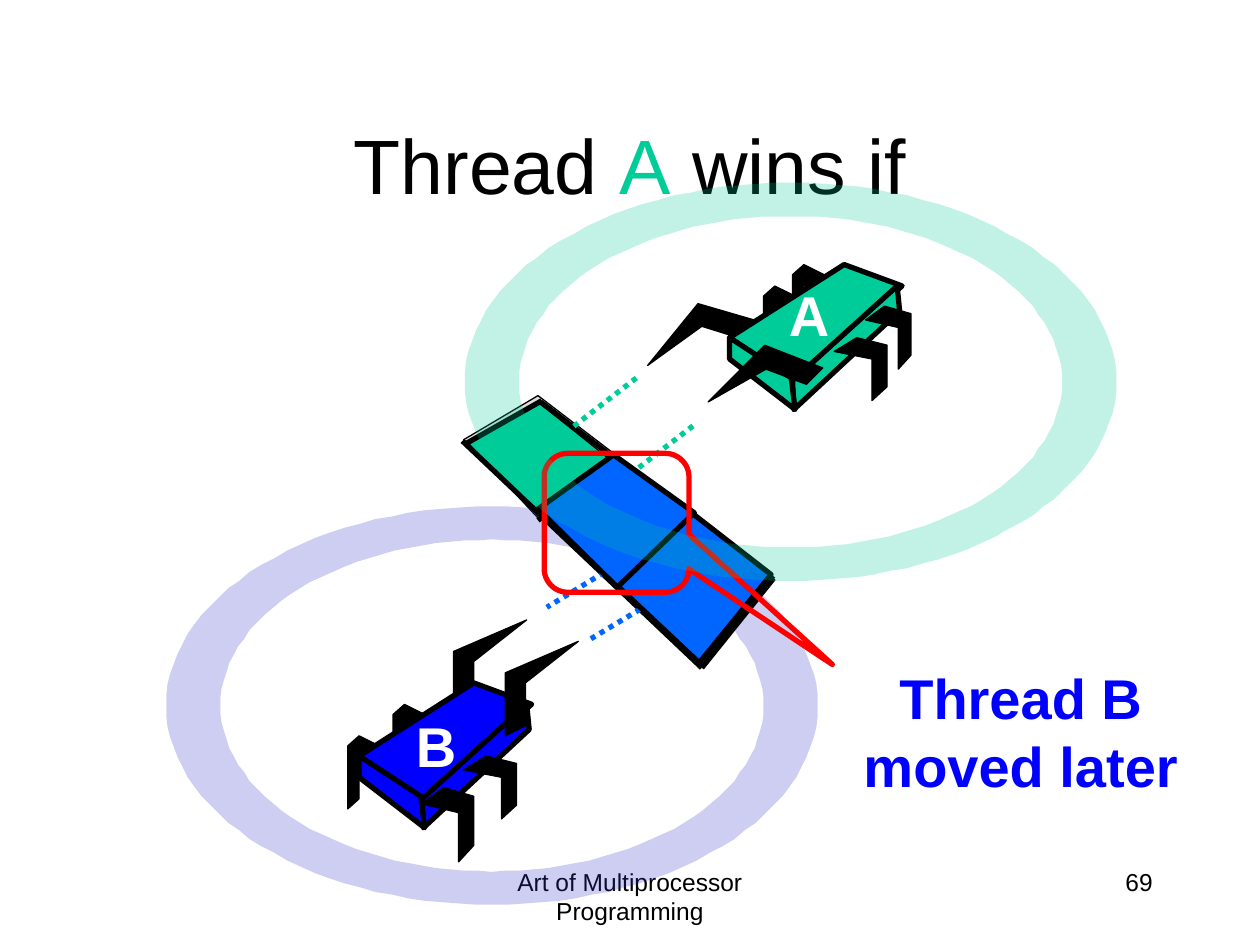
"""Build the slide showing when thread A wins against thread B."""
from math import cos, pi, sin

from lxml.etree import SubElement
from pptx import Presentation
from pptx.dml.color import RGBColor
from pptx.enum.dml import MSO_LINE
from pptx.enum.shapes import MSO_CONNECTOR, MSO_SHAPE
from pptx.enum.text import MSO_ANCHOR, MSO_AUTO_SIZE, PP_ALIGN
from pptx.oxml.ns import qn
from pptx.util import Cm, Pt

rgb = RGBColor.from_string
BLACK, WHITE, GREY, RED = "000000", "FFFFFF", "DDDDDD", "FF0000"
GREEN, BLUE, CELL_BLUE, VIOLET = "00CC99", "0000FF", "0066FF", "3333CC"
unit = Cm(0.0254)

deck = Presentation()
deck.slide_width, deck.slide_height = Cm(25.4), Cm(19.05)
slide = deck.slides.add_slide(deck.slide_layouts[5])
shapes = slide.shapes


def outline(contours, fill, width=0.75, alpha=None, dx=0, dy=0):
    """Draw closed contours, given in hundredths of an inch."""
    moved = [[(x + dx, y + dy) for x, y in contour] for contour in contours]
    builder = shapes.build_freeform(*moved[0][0], scale=unit)
    builder.add_line_segments(moved[0][1:])
    for contour in moved[1:]:
        builder.move_to(*contour[0])
        builder.add_line_segments(contour[1:])
    shape = builder.convert_to_shape()
    shape.shadow.inherit = False
    shape.fill.solid()
    shape.fill.fore_color.rgb = rgb(fill)
    if alpha is None:
        shape.line.color.rgb = rgb(BLACK)
        shape.line.width = Pt(width)
    else:
        shape.line.fill.background()
        color = shape.fill._xPr.find(qn("a:solidFill"))[0]
        SubElement(color, qn("a:alpha")).set("val", str(alpha * 1000))


def write(frame, runs, size, align, bold=False, wrap=True):
    """Fill a text frame with one paragraph of coloured runs."""
    frame.word_wrap = wrap
    frame.auto_size = MSO_AUTO_SIZE.NONE
    paragraph = frame.paragraphs[0]
    paragraph.alignment = align
    for text, color in runs:
        run = paragraph.add_run()
        run.text = text
        run.font.name = "Arial"
        run.font.size = Pt(size)
        run.font.bold = bold
        run.font.color.rgb = rgb(color)


title = shapes.title
title.left, title.top, title.width, title.height = Cm(1.9), Cm(1.7), Cm(21.6), Cm(3.18)
title.text_frame.vertical_anchor = MSO_ANCHOR.MIDDLE
write(title.text_frame, [("Thread ", BLACK), ("A", GREEN), (" wins if", BLACK)],
      44, PP_ALIGN.CENTER)

footer = shapes.add_textbox(Cm(8.68), Cm(17.35), Cm(8.04), Cm(1.27))
write(footer.text_frame, [("Art of Multiprocessor Programming", BLACK)], 14, PP_ALIGN.CENTER)
number = shapes.add_textbox(Cm(18.2), Cm(17.35), Cm(5.29), Cm(1.27))
write(number.text_frame, [("69", BLACK)], 14, PP_ALIGN.RIGHT)

board = [
    ([(427, 314), (368, 349), (554, 524), (613, 456)], GREY),
    ([(429, 408), (492, 470), (552, 411), (489, 365)], GREEN),
    ([(427, 319), (371, 351), (427, 411), (487, 367)], GREEN),
    ([(551, 411), (490, 468), (558, 524), (614, 460)], GREY),
]
for cell, fill in board:
    outline([cell], fill)

angles = [2 * pi * step / 120 for step in range(120)]
ring = [[(rx * cos(a), ry * sin(turn * a)) for a in angles]
        for rx, ry, turn in [(258.5, 158, 1), (215.5, 131.5, -1)]]
outline(ring, VIOLET, alpha=24, dx=390.5, dy=560)

body = [
    [(91, 0), (0, 58), (51, 93), (137, 17)],
    [(133, 17), (50, 92), (51, 115), (135, 37)],
    [(0, 58), (0, 75), (52, 115), (49, 90)],
]
claw = [(0, 75), (16, 67), (16, 33), (58, 0), (0, 25)]
rear_claw_a = [(88, 14), (75, 28), (43, 18), (0, 49), (40, 0)]
front_claw_a = [(91, 18), (78, 31), (46, 19), (0, 45), (45, 0)]
rear_leg = [(25, 8), (9, 0), (0, 8), (0, 58), (9, 50), (9, 16), (25, 25)]
long_leg = [(17, 0), (0, 13), (29, 20), (29, 59), (41, 46), (41, 7)]
side_leg = [(18, 0), (0, 11), (30, 17), (30, 50), (42, 39), (42, 6)]
slim_leg = [(15, 0), (0, 11), (26, 17), (26, 50), (36, 39), (36, 6)]
spiders = [
    (BLUE, 285, 542,
     [(claw, 360, 492), (rear_leg, 276, 584), (rear_leg, 312, 559)],
     [(long_leg, 335, 625), (side_leg, 368, 600), (claw, 401, 509)]),
    (GREEN, 579, 210,
     [(rear_claw_a, 514, 241), (rear_leg, 629, 210), (rear_leg, 606, 227)],
     [(slim_leg, 687, 243), (side_leg, 662, 268), (front_claw_a, 562, 274)]),
]
for fill, left, top, back_limbs, front_limbs in spiders:
    parts = [(limb, BLACK, 0.75, x, y) for limb, x, y in back_limbs]
    parts += [(face, fill, 3, left, top) for face in body]
    parts += [(limb, BLACK, 0.75, x, y) for limb, x, y in front_limbs]
    for points, color, width, x, y in parts:
        outline([points], color, width, dx=x, dy=y)

lines = [
    (367, 350, 557, 530, BLACK), (429, 319, 614, 460, BLACK),
    (370, 352, 430, 318, BLACK), (557, 530, 614, 459, BLACK),
    (492, 468, 554, 413, BLACK), (427, 413, 489, 367, BLACK),
    (505, 300, 435, 354, GREEN), (550, 338, 480, 392, GREEN),
    (508, 437, 434, 482, CELL_BLUE), (544, 462, 469, 507, CELL_BLUE),
]
for *ends, color in lines:
    line = shapes.add_connector(MSO_CONNECTOR.STRAIGHT, *[end * unit for end in ends])
    line.line.color.rgb = rgb(color)
    line.line.width = Pt(3)
    if color != BLACK:
        line.line.dash_style = MSO_LINE.ROUND_DOT
    SubElement(line._element.spPr, qn("a:effectLst"))

for letter, left, top in [("A", 15.62, 5.54), ("B", 8.1, 14.22)]:
    label = shapes.add_textbox(Cm(left), Cm(top), Cm(1.35), Cm(1.62))
    write(label.text_frame, [(letter, WHITE)], 32, PP_ALIGN.RIGHT, bold=True, wrap=False)

for cell in ([(549, 407), (489, 464), (555, 526), (612, 456)],
             [(427, 404), (490, 466), (551, 407), (487, 361)]):
    outline([cell], CELL_BLUE, 3)

remark = shapes.add_textbox(Cm(16.54), Cm(13.26), Cm(8.08), Cm(2.97))
write(remark.text_frame, [("Thread B moved later", BLUE)], 32, PP_ALIGN.CENTER, bold=True)

callout = shapes.add_shape(MSO_SHAPE.ROUNDED_RECTANGULAR_CALLOUT,
                           Cm(10.97), Cm(9.14), Cm(2.92), Cm(2.8))
callout.shadow.inherit = False
callout.fill.background()
callout.line.color.rgb = rgb(RED)
callout.line.width = Pt(3)
for index, value in enumerate([1.49, 1.02, 0.17]):
    callout.adjustments[index] = value

outline(ring, GREEN, alpha=24, dx=627.5, dy=303)

deck.save("out.pptx")
